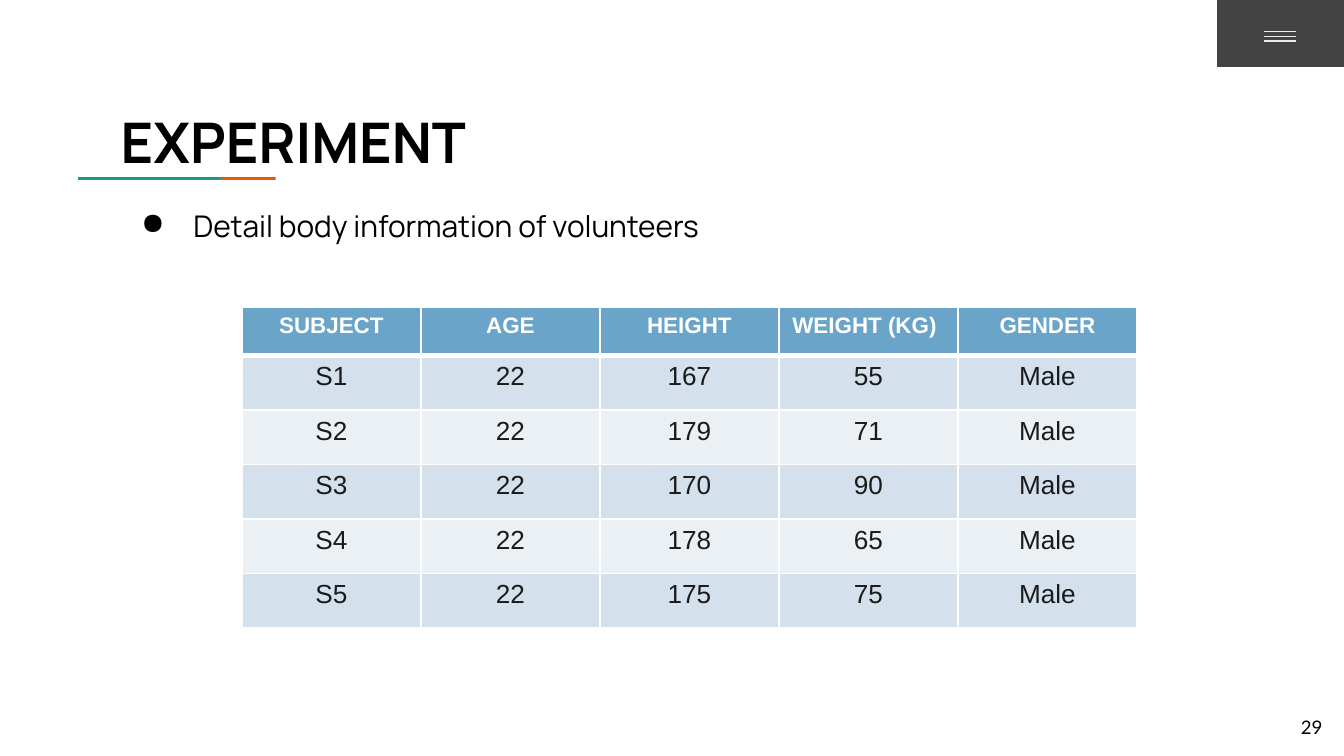
from lxml.etree import SubElement
from pptx import Presentation
from pptx.dml.color import RGBColor
from pptx.enum.shapes import MSO_CONNECTOR, MSO_SHAPE
from pptx.enum.text import MSO_ANCHOR as Anchor, PP_ALIGN as Align
from pptx.oxml import parse_xml
from pptx.oxml.ns import nsdecls, qn
from pptx.util import Pt

BLACK = RGBColor(0x00, 0x00, 0x00)
WHITE = RGBColor(0xFF, 0xFF, 0xFF)
ORANGE = RGBColor(0xEB, 0x56, 0x00)
GREEN = RGBColor(0x1A, 0x99, 0x88)
CHARCOAL = RGBColor(0x43, 0x43, 0x43)
MENU_GREY = RGBColor(0xE9, 0xED, 0xEE)
HEADER_BLUE = RGBColor(0x6A, 0xA4, 0xC8)
BANDS = RGBColor(0xD4, 0xE0, 0xEB), RGBColor(0xEB, 0xF0, 0xF5)
CELL_TEXT = RGBColor(0x1A, 0x1A, 0x1A)

TITLE = "EXPERIMENT"
BULLET = "Detail body information of volunteers"
PAGE_NUMBER = "29"
HEADERS = ["SUBJECT", "AGE", "HEIGHT", "WEIGHT (KG)", "GENDER"]
VOLUNTEERS = [
    ("S1", 22, 167, 55, "Male"),
    ("S2", 22, 179, 71, "Male"),
    ("S3", 22, 170, 90, "Male"),
    ("S4", 22, 178, 65, "Male"),
    ("S5", 22, 175, 75, "Male"),
]

TABLE_LEFT, TABLE_TOP, COLUMN_WIDTH = 129.6, 164.4, 95.9
HEADER_HEIGHT, ROW_HEIGHT = 26, 29.2


def write(frame, text, font="Manrope", size=16, color=BLACK, bold=False, align=Align.LEFT):
    paragraph = frame.paragraphs[0]
    paragraph.alignment = align
    span = paragraph.add_run()
    span.text = text
    span.font.name = font
    span.font.size = Pt(size)
    span.font.bold = bold
    span.font.color.rgb = color
    return paragraph


def add_text(page, text, left, top, width, height, anchor=Anchor.TOP, **style):
    frame = page.shapes.add_textbox(Pt(left), Pt(top), Pt(width), Pt(height)).text_frame
    frame.word_wrap = True
    frame.vertical_anchor = anchor
    frame.margin_left = frame.margin_right = Pt(7.2)
    frame.margin_top = frame.margin_bottom = Pt(7.2)
    return write(frame, text, **style)


def add_bar(page, left, top, width, height, color):
    bar = page.shapes.add_shape(MSO_SHAPE.RECTANGLE, Pt(left), Pt(top), Pt(width), Pt(height))
    bar.shadow.inherit = False
    bar.fill.solid()
    bar.fill.fore_color.rgb = color
    bar.line.fill.background()


def add_menu_line(page, left, right, y):
    line = page.shapes.add_connector(MSO_CONNECTOR.STRAIGHT, Pt(left), Pt(y), Pt(right), Pt(y))
    line.line.color.rgb = MENU_GREY
    line.line.width = Pt(0.75)
    SubElement(line._element.spPr, qn("a:effectLst"))


def add_bullet(paragraph, left, hanging):
    properties = paragraph._p.get_or_add_pPr()
    properties.set("marL", str(Pt(left)))
    properties.set("indent", str(-Pt(hanging)))
    SubElement(properties, qn("a:buChar")).set("char", "●")


def set_borders(cell, **widths):
    """Give the cell white edges; the keywords L, R, T and B are widths in points."""
    properties = cell._tc.get_or_add_tcPr()
    for index, (side, width) in enumerate(widths.items()):
        properties.insert(index, parse_xml(
            f'<a:ln{side} {nsdecls("a")} w="{Pt(width)}"><a:solidFill>'
            f'<a:srgbClr val="{WHITE}"/></a:solidFill></a:ln{side}>'))


def add_volunteer_table(page):
    rows = [HEADERS] + VOLUNTEERS
    height = HEADER_HEIGHT + ROW_HEIGHT * len(VOLUNTEERS)
    table = page.shapes.add_table(
        len(rows), len(HEADERS), Pt(TABLE_LEFT), Pt(TABLE_TOP),
        Pt(COLUMN_WIDTH * len(HEADERS)), Pt(height)).table
    for column in table.columns:
        column.width = Pt(COLUMN_WIDTH)
    for r, values in enumerate(rows):
        header = r == 0
        table.rows[r].height = Pt(HEADER_HEIGHT if header else ROW_HEIGHT)
        for c, value in enumerate(values):
            cell = table.cell(r, c)
            cell.fill.solid()
            cell.fill.fore_color.rgb = HEADER_BLUE if header else BANDS[(r - 1) % 2]
            set_borders(cell, L=1, R=1, T=3 if r == 1 else 1, B=3 if header else 1)
            write(cell.text_frame, str(value), font="Arial", bold=header,
                  size=12 if header else 14, color=WHITE if header else CELL_TEXT,
                  align=Align.LEFT if value == "WEIGHT (KG)" else Align.CENTER)


def main():
    deck = Presentation()
    deck.slide_width, deck.slide_height = Pt(720), Pt(405)
    page = deck.slides.add_slide(deck.slide_layouts[6])

    for left, color in ((71.2, ORANGE), (41.8, GREEN)):
        add_bar(page, left, 94.9, 76.5, 1.5, color)
    add_bar(page, 652, 0, 68, 35.8, CHARCOAL)
    for index in range(3):
        add_menu_line(page, 677, 694.3, 17 + 2.5 * index)

    add_text(page, TITLE, 57.6, 50.4, 552, 27.4, size=30, bold=True)
    add_text(page, PAGE_NUMBER, 672.5, 373.8, 43, 31, anchor=Anchor.MIDDLE,
             font="Lato", size=10, align=Align.RIGHT)
    bullet = add_text(page, BULLET, 60.5, 94.3, 565, 258.5)
    bullet.line_spacing = 1.5
    add_bullet(bullet, left=36, hanging=28)
    add_volunteer_table(page)

    deck.save("out.pptx")


if __name__ == "__main__":
    main()
